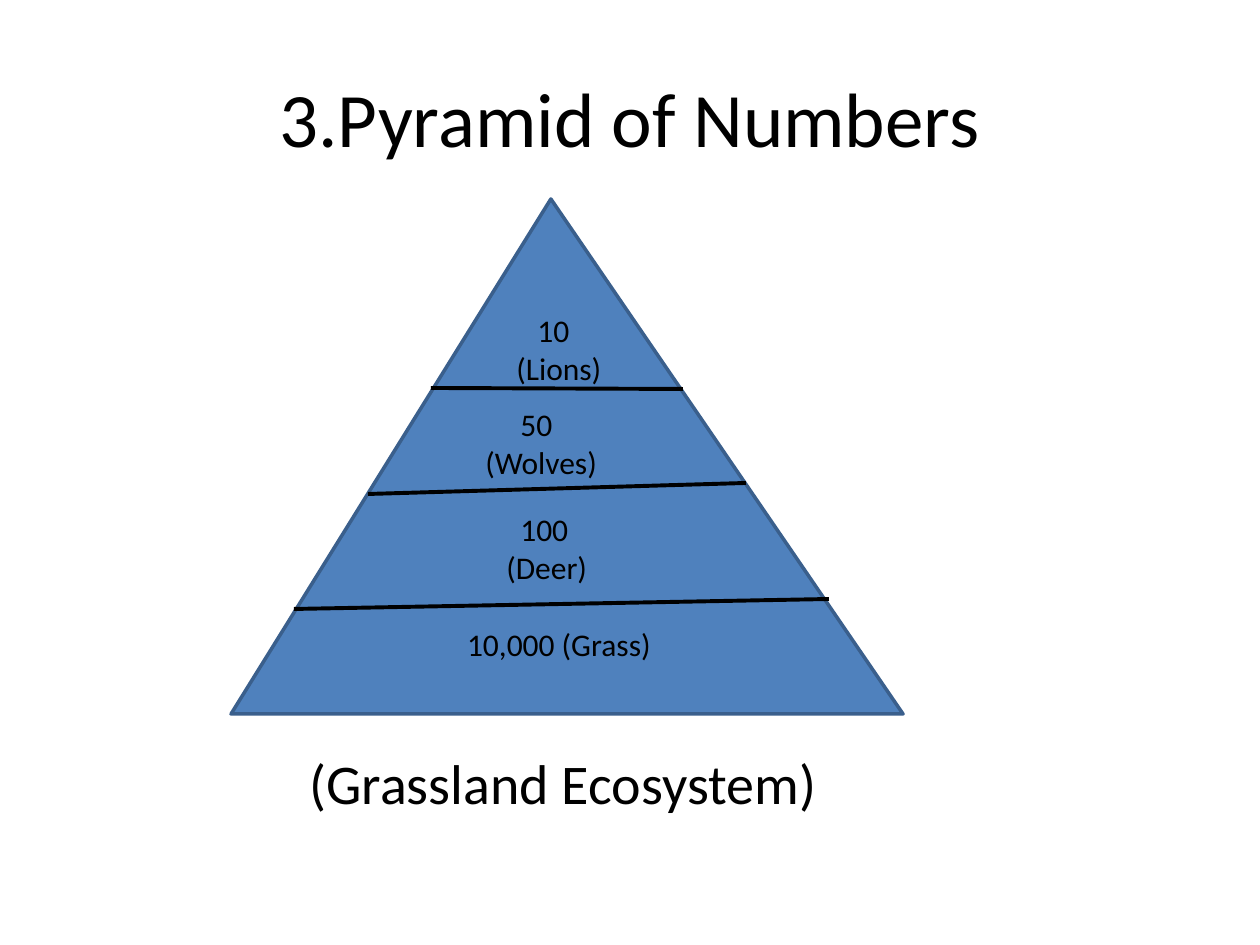
"""Build a slide showing the pyramid of numbers of a grassland ecosystem."""
from lxml.etree import SubElement
from pptx import Presentation
from pptx.dml.color import RGBColor
from pptx.enum.shapes import MSO_CONNECTOR, MSO_SHAPE
from pptx.enum.text import MSO_ANCHOR, PP_ALIGN
from pptx.oxml.ns import qn
from pptx.util import Emu, Pt

BLACK = RGBColor(0x00, 0x00, 0x00)
BLUE = RGBColor(0x4F, 0x81, 0xBD)
DARK_BLUE = RGBColor(0x3A, 0x5F, 0x8C)


def px(*lengths):
    return [Emu(round(n * 914400 / 126)) for n in lengths]


def write(sp, text, size, align=PP_ALIGN.LEFT, anchor=MSO_ANCHOR.TOP):
    tf = sp.text_frame
    tf.word_wrap = True
    tf.vertical_anchor = anchor
    p = tf.paragraphs[0]
    p.alignment = align
    r = p.add_run()
    r.text = text
    for name, value in {"name": "Calibri", "size": Pt(size)}.items():
        setattr(r.font, name, value)
    r.font.color.rgb = BLACK
    return p


prs = Presentation()
prs.slide_width, prs.slide_height = px(1260, 945)
s = prs.slides.add_slide(prs.slide_layouts[6])

title = s.shapes.add_textbox(*px(63, 38, 1134, 158))
write(title, "3.Pyramid of Numbers", 44, PP_ALIGN.CENTER, MSO_ANCHOR.MIDDLE)

caption = s.shapes.add_textbox(*px(297, 742, 560, 80))
write(caption, "(Grassland Ecosystem)", 32)

pyramid = s.shapes.add_shape(MSO_SHAPE.ISOSCELES_TRIANGLE, *px(231, 199, 672, 515))
pyramid.adjustments[0] = 0.476
pyramid.shadow.inherit = False
pyramid.fill.solid()
pyramid.fill.fore_color.rgb = BLUE
pyramid.line.color.rgb = DARK_BLUE
pyramid.line.width = Pt(2)
write(pyramid, "10,000 (Grass)", 18, PP_ALIGN.CENTER, MSO_ANCHOR.BOTTOM)
pyramid.text_frame.margin_bottom = px(51)[0]

for ends in [(294, 609, 829, 599), (368, 494, 746, 483), (431, 388, 683, 389)]:
    divider = s.shapes.add_connector(MSO_CONNECTOR.STRAIGHT, *px(*ends))
    divider.line.color.rgb = BLACK
    divider.line.width = Pt(2.25)
    SubElement(divider._element.spPr, qn("a:effectLst"))

LEVELS = [
    ("100 (Deer)", 494, 504, 126, 14),
    ("50 (Wolves)", 473, 399, 147, 35),
    ("10 (Lions)", 504, 305, 126, 21),
]
for text, left, top, width, indent in LEVELS:
    label = s.shapes.add_textbox(*px(left, top, width, 89))
    p = write(label, text, 18)
    p._p.get_or_add_pPr().set("indent", str(px(indent)[0]))

prs.save("out.pptx")
